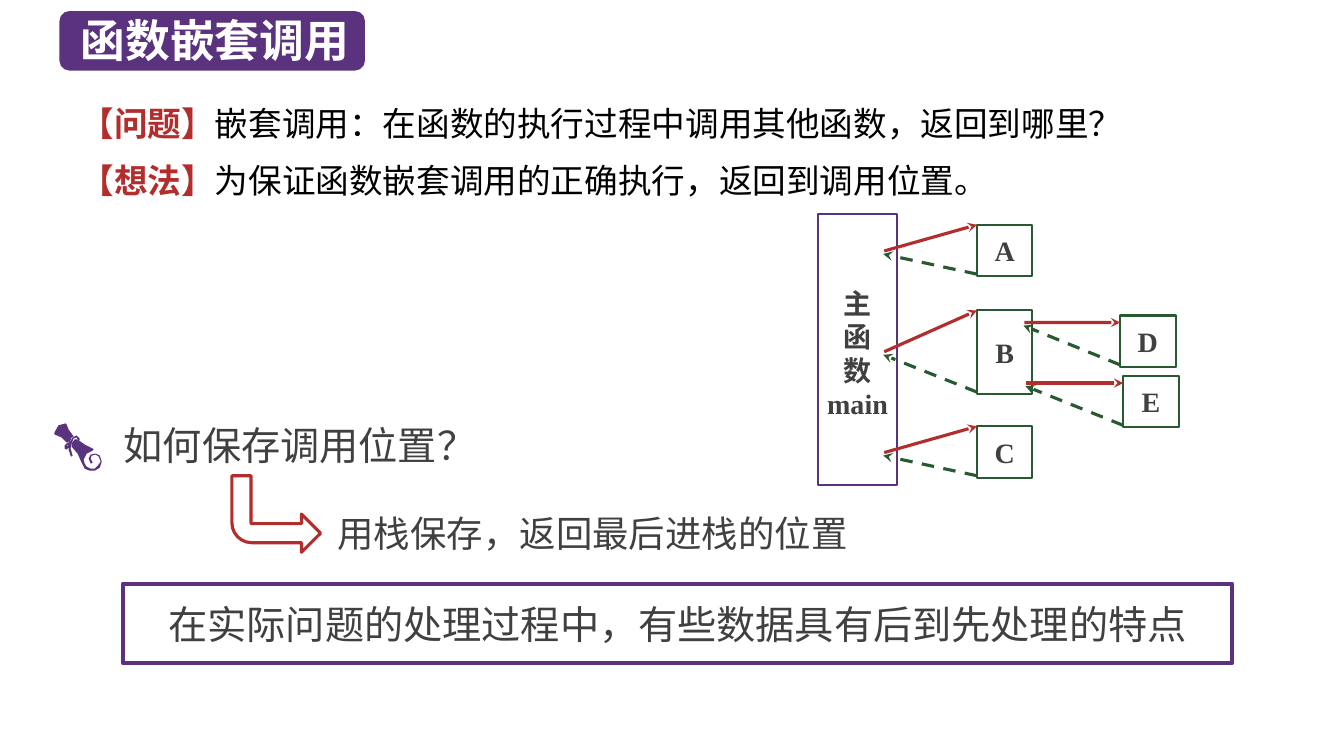
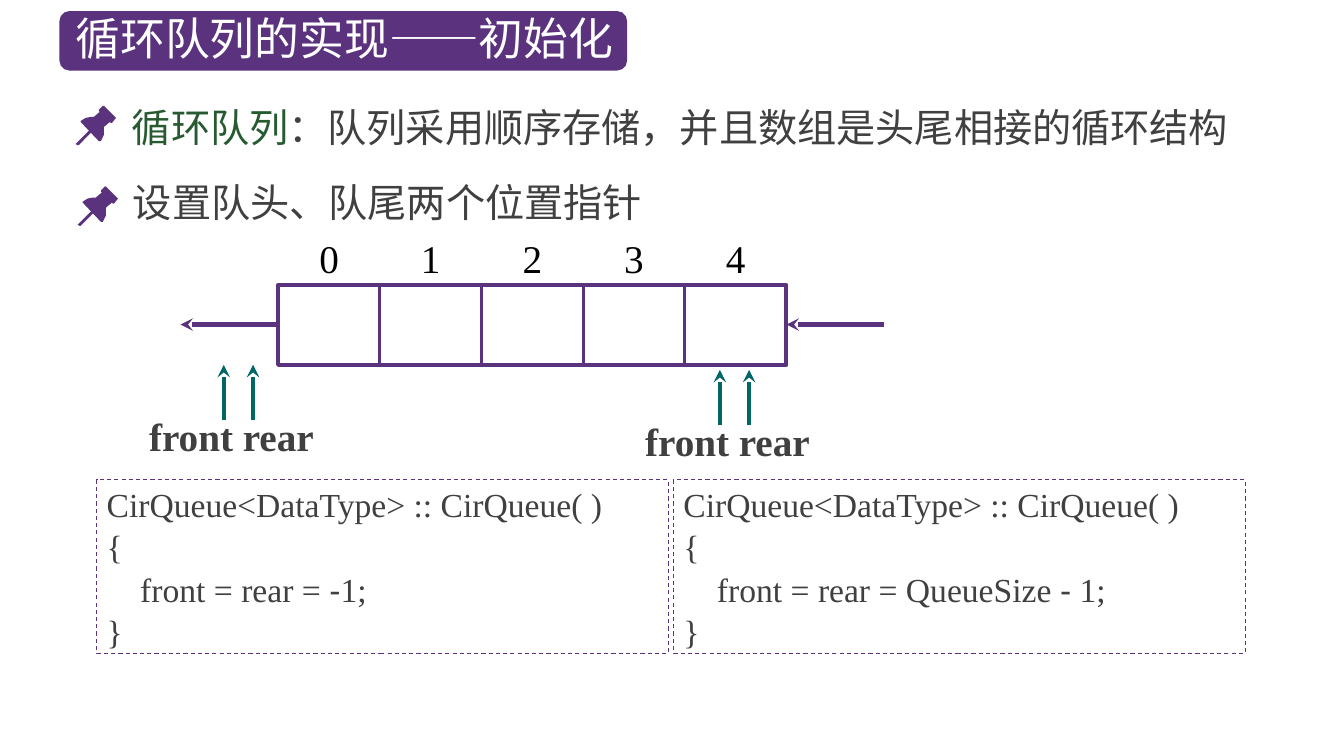
from dataclasses import dataclass
from typing import NamedTuple, Optional, Sequence, Union

from lxml import etree
from pptx import Presentation
from pptx.dml.color import RGBColor
from pptx.enum import dml, shapes, text
from pptx.oxml import ns
from pptx.util import Inches, Pt

PURPLE = RGBColor(0x5A, 0x32, 0x7D)
RED = RGBColor(0xB4, 0x2D, 0x2D)
GREEN = RGBColor(0x28, 0x5A, 0x32)
TEAL = RGBColor(0x00, 0x66, 0x66)
GREY = RGBColor(0x40, 0x40, 0x40)
BLACK = RGBColor(0, 0, 0)
WHITE = RGBColor(0xFF, 0xFF, 0xFF)
CJK = "Noto Sans CJK SC"
SERIF = "Times New Roman"
LEFT = text.PP_ALIGN.LEFT
CENTER = text.PP_ALIGN.CENTER
RECTANGLE = shapes.MSO_SHAPE.RECTANGLE

Point = tuple[float, float]
Box = tuple[float, float, float, float]


class Run(NamedTuple):
    text: str
    color: Optional[RGBColor] = None
    bold: Optional[bool] = None
    font: Optional[str] = None


Line = Union[str, Sequence[Run]]


@dataclass
class Callee:
    name: str
    left: float
    top: float
    height: float
    call_from: Point
    call_drop: float = 0


@dataclass
class CodeBlock:
    left: float
    assignment: Line


CALLEES = [
    Callee("A", 9.69, 2.23, 0.51, (8.77, 2.49)),
    Callee("B", 9.69, 3.08, 0.83, (8.77, 3.49)),
    Callee("C", 9.69, 4.23, 0.51, (8.77, 4.49)),
    Callee("E", 11.14, 3.73, 0.51, (10.18, 3.8), 0.07),
    Callee("D", 11.11, 3.13, 0.51, (10.16, 3.2), 0.07),
]
CODE_BLOCKS = [
    CodeBlock(0.96, [Run("    front = rear = "), Run("-", font="Arial"), Run("1;")]),
    CodeBlock(6.68, [Run("    front = rear = QueueSize "), Run("-", font="Arial"), Run(" 1;")]),
]
PIN_ICON = [
    [[(1.15, 1.17), (1.03, 1.05), (1.02, 1.05), (0.98, 1.09), (0.98, 1.1), (0.99, 1.11),
      (0.93, 1.16), (0.9, 1.16), (0.85, 1.17), (0.8, 1.2), (0.8, 1.21), (0.98, 1.4),
      (1, 1.4), (1.03, 1.34), (1.03, 1.26), (1.09, 1.21), (1.1, 1.22), (1.11, 1.22)]],
    [[(0.77, 1.44), (0.75, 1.43), (0.89, 1.29), (0.91, 1.29), (0.91, 1.31), (0.78, 1.44)]],
]
SCROLL_ICON = [
    [[(0.68, 4.38), (0.69, 4.39), (0.71, 4.34), (0.73, 4.33), (0.68, 4.26), (0.66, 4.21),
      (0.65, 4.2), (0.58, 4.22), (0.54, 4.29), (0.54, 4.31), (0.61, 4.34), (0.66, 4.39)]],
    [[(0.99, 4.52), (0.95, 4.5), (0.9, 4.51), (0.88, 4.55), (0.9, 4.6), (0.92, 4.59),
      (0.9, 4.55), (0.91, 4.52), (0.95, 4.51), (0.98, 4.53), (1, 4.58), (0.97, 4.62),
      (0.94, 4.65), (0.9, 4.65), (0.86, 4.63), (0.84, 4.6), (0.83, 4.56), (0.86, 4.5),
      (0.92, 4.47), (0.93, 4.46), (0.92, 4.45), (0.84, 4.41), (0.77, 4.36), (0.74, 4.36),
      (0.71, 4.4), (0.71, 4.43), (0.77, 4.5), (0.81, 4.59), (0.84, 4.65), (0.89, 4.67),
      (0.94, 4.67), (0.99, 4.64), (1.01, 4.58)]],
    [[(0.71, 4.53), (0.7, 4.52), (0.68, 4.46), (0.68, 4.44), (0.66, 4.46), (0.64, 4.45),
      (0.64, 4.42), (0.67, 4.39), (0.69, 4.39), (0.72, 4.34), (0.76, 4.32), (0.79, 4.35),
      (0.79, 4.37), (0.77, 4.36), (0.76, 4.34), (0.73, 4.35), (0.71, 4.4), (0.7, 4.45),
      (0.72, 4.52)],
     [(0.67, 4.41), (0.66, 4.44), (0.68, 4.41)]],
]


def write_text(shape, lines: Sequence[Line], *, size: float, color: RGBColor = GREY,
               font: str = SERIF, bold: bool = False, align=LEFT, spacing=None) -> None:
    frame = shape.text_frame
    frame.word_wrap = True
    frame.vertical_anchor = text.MSO_ANCHOR.MIDDLE
    for index, line in enumerate(lines):
        paragraph = frame.add_paragraph() if index else frame.paragraphs[0]
        paragraph.alignment = align
        if spacing is not None:
            paragraph.line_spacing = spacing
        for part in [Run(line)] if isinstance(line, str) else line:
            run = paragraph.add_run()
            run.text = part.text
            run.font.size = Pt(size)
            run.font.bold = bold if part.bold is None else part.bold
            run.font.color.rgb = part.color or color
            run.font.name = part.font or font
            properties = run.font._element
            etree.SubElement(properties, ns.qn("a:ea")).set("typeface", CJK)


def add_label(slide, box: Box, line: Line, **text_format) -> None:
    label = slide.shapes.add_textbox(*map(Inches, box))
    write_text(label, [line], **text_format)


def add_outline(slide, box: Box, color: RGBColor, width: float, kind=RECTANGLE):
    shape = slide.shapes.add_shape(kind, *map(Inches, box))
    shape.shadow.inherit = False
    shape.fill.background()
    shape.line.color.rgb = color
    shape.line.width = Pt(width)
    return shape


def add_line(slide, start: Point, end: Point, color: RGBColor, width: float, *,
             arrow: bool = False, dashed: bool = False) -> None:
    connector = slide.shapes.add_connector(
        shapes.MSO_CONNECTOR.STRAIGHT, *map(Inches, (*start, *end)))
    connector.line.color.rgb = color
    connector.line.width = Pt(width)
    if dashed:
        connector.line.dash_style = dml.MSO_LINE.DASH
    properties = connector.element.spPr
    if arrow:
        tail = etree.SubElement(properties.find(ns.qn("a:ln")), ns.qn("a:tailEnd"))
        tail.set("type", "stealth")
    etree.SubElement(properties, ns.qn("a:effectLst"))


def add_icon(slide, pieces, dx: float = 0, dy: float = 0) -> None:
    for contours in pieces:
        placed = [[(Inches(x + dx), Inches(y + dy)) for x, y in contour]
                  for contour in contours]
        builder = slide.shapes.build_freeform(*placed[0][0], scale=1.0)
        for index, contour in enumerate(placed):
            if index:
                builder.move_to(*contour[0])
            builder.add_line_segments(contour[1:], close=True)
        shape = builder.convert_to_shape()
        shape.shadow.inherit = False
        shape.fill.solid()
        shape.fill.fore_color.rgb = PURPLE
        shape.line.fill.background()


def add_titled_slide(presentation, title: str, band_width: float, label_box: Box, bold: bool):
    slide = presentation.slides.add_slide(presentation.slide_layouts[6])
    band = slide.shapes.add_shape(
        shapes.MSO_SHAPE.ROUNDED_RECTANGLE, *map(Inches, (0.59, 0.11, band_width, 0.59)))
    band.shadow.inherit = False
    band.fill.solid()
    band.fill.fore_color.rgb = PURPLE
    band.line.fill.background()
    add_label(slide, label_box, title, size=32, color=WHITE, font=CJK, bold=bold)
    return slide


def add_callee(slide, callee: Callee) -> None:
    box = add_outline(slide, (callee.left, callee.top, 0.55, callee.height), GREEN, 1.5)
    write_text(box, [callee.name], size=20, bold=True, align=CENTER)
    x, y = callee.call_from
    add_line(slide, (x, y), (callee.left, callee.top + callee.call_drop),
             RED, 2.25, arrow=True)
    add_line(slide, (callee.left, callee.top + callee.height - 0.02), (x - 0.01, y + 0.03),
             GREEN, 2.25, arrow=True, dashed=True)


def add_pointers(slide, front_x: float, tip_y: float) -> None:
    for name, x, label_left in (("front", front_x, front_x - 0.84),
                                ("rear", front_x + 0.29, front_x + 0.09)):
        add_line(slide, (x, tip_y + 0.55), (x, tip_y), TEAL, 3, arrow=True)
        add_label(slide, (label_left, tip_y + 0.42, 1.13, 0.57), name, size=28, bold=True)


def build_nested_calls(presentation) -> None:
    slide = add_titled_slide(presentation, "函数嵌套调用", 3.03, (0.7, 0.07, 2.99, 0.64), True)
    topics = [
        ("【问题】", "嵌套调用：在函数的执行过程中调用其他函数，返回到哪里？", 0.97),
        ("【想法】", "为保证函数嵌套调用的正确执行，返回到调用位置。", 1.53),
    ]
    for tag, statement, top in topics:
        add_label(slide, (0.7, top, 12.1, 0.51),
                  [Run(tag, RED, True, SERIF), Run(statement)],
                  size=24, color=BLACK, font=CJK)

    main_function = add_outline(slide, (8.11, 2.12, 0.79, 2.69), PURPLE, 1.5)
    frame = main_function.text_frame
    frame.margin_left = frame.margin_right = 0
    frame.margin_top = Inches(0.13)
    write_text(main_function, ["主", "函", "数", "main"], size=20, bold=True,
               align=CENTER, spacing=Pt(24))
    for callee in CALLEES:
        add_callee(slide, callee)

    add_icon(slide, SCROLL_ICON)
    add_label(slide, (1.13, 4.13, 6.5, 0.57), "如何保存调用位置？", size=28)
    answer_arrow = add_outline(slide, (2.3, 4.72, 0.88, 0.76), RED, 2.25,
                               shapes.MSO_SHAPE.BENT_ARROW)
    for index, value in enumerate((0.25, 0.25, 0.25, 0.26)):
        answer_arrow.adjustments[index] = value
    answer_arrow.element.spPr.find(ns.qn("a:xfrm")).set("flipV", "1")
    add_label(slide, (3.25, 5.02, 8.97, 0.54), "用栈保存，返回最后进栈的位置", size=26)

    conclusion = add_outline(slide, (1.22, 5.79, 11, 0.79), PURPLE, 3)
    write_text(conclusion, ["在实际问题的处理过程中，有些数据具有后到先处理的特点"],
               size=28, font=CJK, align=CENTER)


def build_circular_queue(presentation) -> None:
    slide = add_titled_slide(presentation, "循环队列的实现——初始化", 5.63,
                             (0.65, 0.05, 5.65, 0.64), False)
    add_icon(slide, PIN_ICON)
    add_label(slide, (1.21, 0.97, 11.37, 0.57),
              [Run("循环队列", GREEN), Run("：队列采用顺序存储，并且数组是头尾相接的循环结构")],
              size=28, font=CJK)
    add_icon(slide, PIN_ICON, 0.02, 0.8)
    add_label(slide, (1.22, 1.72, 5.56, 0.57), "设置队头、队尾两个位置指针", size=28, font=CJK)

    left, top, width, height, cells = 2.76, 2.83, 5.04, 0.79, 5
    cell_width = width / cells
    add_outline(slide, (left, top, width, height), PURPLE, 3)
    for index in range(cells):
        x = left + index * cell_width
        if index:
            add_line(slide, (x, top), (x, top + height), PURPLE, 2.25)
        add_label(slide, (x, 2.27, cell_width, 0.57), str(index),
                  size=28, color=BLACK, align=CENTER)
    for x in (left, left + width + 0.97):
        add_line(slide, (x, 3.22), (x - 0.97, 3.22), PURPLE, 3, arrow=True)

    add_pointers(slide, 2.22, 3.62)
    add_pointers(slide, 7.14, 3.67)

    for block in CODE_BLOCKS:
        box = add_outline(slide, (block.left, 4.76, 5.67, 1.72), PURPLE, 0.75)
        box.line.dash_style = dml.MSO_LINE.DASH
        write_text(box, ["CirQueue<DataType> :: CirQueue( )", "{", block.assignment, "}"],
                   size=24, spacing=1.05)


def main() -> None:
    presentation = Presentation()
    presentation.slide_width = Inches(13.33)
    presentation.slide_height = Inches(7.5)
    build_nested_calls(presentation)
    build_circular_queue(presentation)
    presentation.save("out.pptx")


if __name__ == "__main__":
    main()
